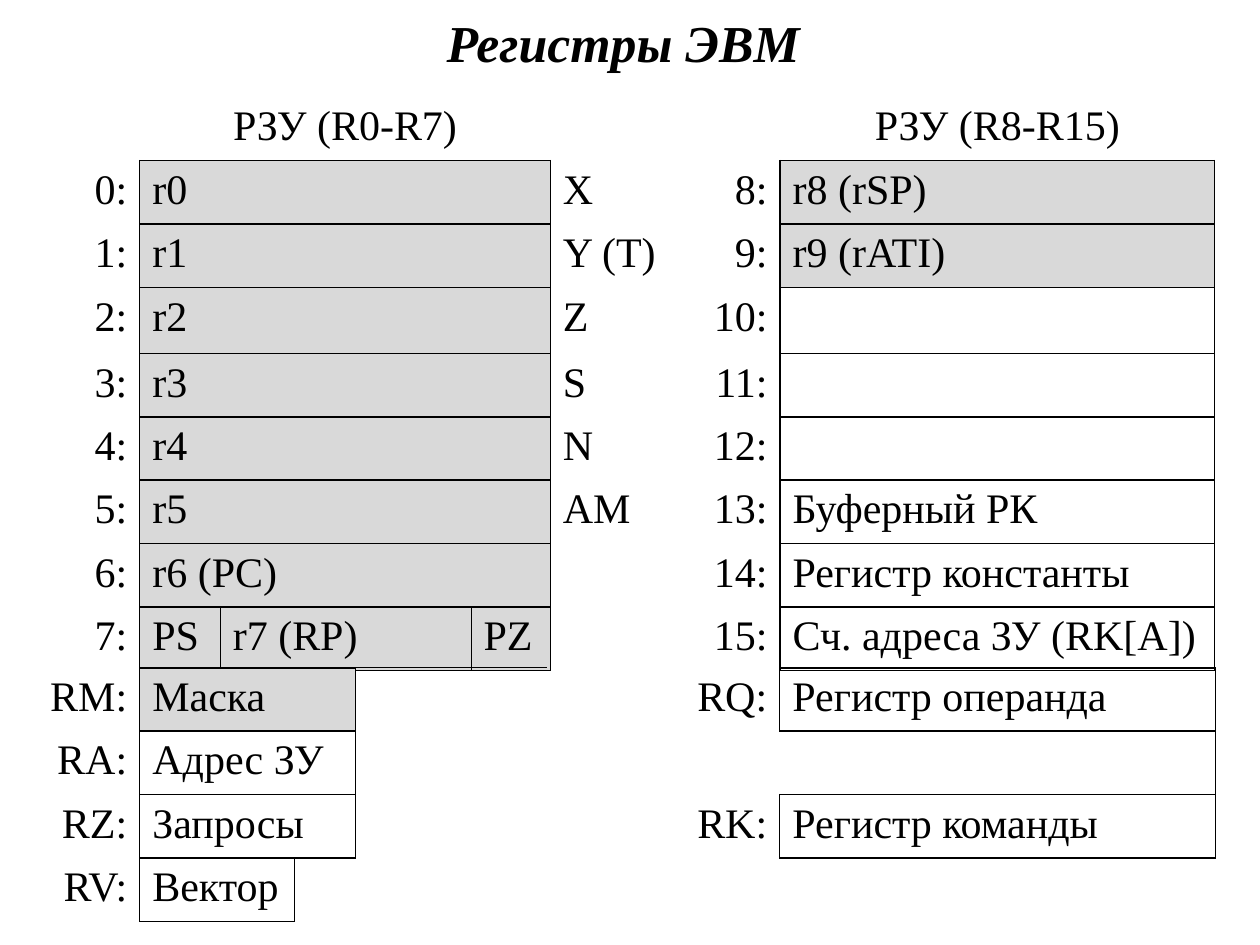
from lxml import etree
from pptx import Presentation
from pptx.dml.color import RGBColor
from pptx.enum import text
from pptx.oxml import ns
from pptx.util import Pt

LEFT, CENTER, RIGHT = text.PP_ALIGN.LEFT, text.PP_ALIGN.CENTER, text.PP_ALIGN.RIGHT
BLACK, GRAY = "000000", "D9D9D9"
BOX = {"L": 0.75, "R": 0.75, "T": 0.96, "B": 0.96}
LAST_BOX = {**BOX, "B": 0.34}
PLAIN_STYLE = "{2D5ABB26-0587-4C30-8999-92F81FD0307C}"


def color(value):
    """Turn a hex string into a colour."""
    return RGBColor.from_string(value)


class RegisterSlide:
    """Hold the text style and the slide, and add elements to it."""

    def __init__(self, slide, font="Times New Roman", size=24):
        """Remember the slide and its text style."""
        self.slide, self.font, self.size = slide, font, size

    def format(self, paragraph, align, size=None, emphasis=False):
        """Style a paragraph and its runs."""
        paragraph.alignment = align
        for run in paragraph.runs:
            run.font.name, run.font.size = self.font, Pt(size or self.size)
            run.font.bold = run.font.italic = emphasis
            run.font.color.rgb = color(BLACK)

    def title(self, wording, left, top, width, height, size):
        """Place the slide title."""
        heading = self.slide.shapes.title
        heading.left, heading.top = Pt(left), Pt(top)
        heading.width, heading.height = Pt(width), Pt(height)
        frame = heading.text_frame
        frame.text = wording
        frame.auto_size = text.MSO_AUTO_SIZE.NONE
        frame.vertical_anchor = text.MSO_ANCHOR.MIDDLE
        frame.paragraphs[0].line_spacing = 0.9
        self.format(frame.paragraphs[0], CENTER, size, True)

    def table(self, left, top, widths, heights):
        """Add a table without borders or fills."""
        frame = self.slide.shapes.add_table(
            len(heights), len(widths), Pt(left), Pt(top), Pt(sum(widths)), Pt(sum(heights)))
        grid = frame.table
        grid.first_row = grid.horz_banding = False
        grid._tbl.tblPr.find(ns.qn("a:tableStyleId")).text = PLAIN_STYLE
        for column, width in zip(grid.columns, widths):
            column.width = Pt(width)
        for row, height in zip(grid.rows, heights):
            row.height = Pt(height)
        for cell in grid.iter_cells():
            cell.fill.background()
        return grid

    def border(self, cell, edges):
        """Draw the given edges of a cell."""
        properties = cell._tc.get_or_add_tcPr()
        ordered = [edge for edge in "LRTB" if edge in edges]
        for place, edge in enumerate(ordered):
            line = etree.Element(ns.qn(f"a:ln{edge}"), w=str(Pt(edges[edge])))
            fill = etree.SubElement(line, ns.qn("a:solidFill"))
            etree.SubElement(fill, ns.qn("a:srgbClr"), val=BLACK)
            properties.insert(place, line)

    def cell(self, grid, row, column, wording="", align=LEFT, fill=None, edges=None, span=1):
        """Fill in one cell, merged over span columns."""
        cell = grid.cell(row, column)
        if span > 1:
            cell.merge(grid.cell(row, column + span - 1))
        for part in range(column, column + span):
            self.border(grid.cell(row, part), edges or {})
        if fill:
            cell.fill.solid()
            cell.fill.fore_color.rgb = color(fill)
        cell.text_frame.text = wording
        self.format(cell.text_frame.paragraphs[0], align)


def add_general_registers(page):
    """Add the table of registers 0 to 15."""
    grid = page.table(17.3, 55.5, [62.6, 46, 143.3, 45.3, 74.3, 57, 248.5],
                      [36.24] * 3 + [37.8] + [36.24] * 5)
    page.cell(grid, 0, 1, "РЗУ (R0-R7)", CENTER, span=3)
    page.cell(grid, 0, 6, "РЗУ (R8-R15)", CENTER)
    low = ["r0", "r1", "r2", "r3", "r4", "r5", "r6 (PC)"]
    roles = ["X", "Y (T)", "Z", "S", "N", "AM"]
    high = ["r8 (rSP)", "r9 (rATI)", "", "", "", "Буферный РК", "Регистр константы",
            "Сч. адреса ЗУ (RK[A])"]
    for number, register in enumerate(high):
        row = number + 1
        page.cell(grid, row, 0, f"{number}:", RIGHT)
        page.cell(grid, row, 5, f"{number + 8}:", RIGHT)
        page.cell(grid, row, 6, register, fill=GRAY if number < 2 else None,
                  edges=LAST_BOX if row == len(high) else BOX)
    for row, register in enumerate(low, 1):
        page.cell(grid, row, 1, register, fill=GRAY, edges=BOX, span=3)
    for row, role in enumerate(roles, 1):
        page.cell(grid, row, 4, role)
    for column, field, sides in [(1, "PS", {"R": 0.45}), (2, "r7 (RP)", {"L": 0.45, "R": 0.45}),
                                 (3, "PZ", {"L": 0.45})]:
        page.cell(grid, 8, column, field, fill=GRAY, edges={**LAST_BOX, **sides})


def add_special_registers(page):
    """Add the table of named registers."""
    grid = page.table(17.3, 381.6, [62.6, 88.6, 34.6, 109.4, 76.3, 56.9, 249.1], [36.24] * 4)
    left = [("RM:", "Маска", GRAY, 2), ("RA:", "Адрес ЗУ", None, 2),
            ("RZ:", "Запросы", None, 2), ("RV:", "Вектор", None, 1)]
    for row, (label, register, fill, span) in enumerate(left):
        page.cell(grid, row, 0, label, RIGHT)
        page.cell(grid, row, 1, register, fill=fill, edges=BOX, span=span)
    page.cell(grid, 0, 3, edges={"T": 0.75})
    for row, label, register in [(0, "RQ:", "Регистр операнда"), (2, "RK:", "Регистр команды")]:
        page.cell(grid, row, 5, label, RIGHT)
        page.cell(grid, row, 6, register, edges=BOX)
    page.cell(grid, 1, 6, edges={"R": 0.34})


def main():
    """Build the slide and save it."""
    deck = Presentation()
    deck.slide_width, deck.slide_height = Pt(720), Pt(540)
    page = RegisterSlide(deck.slides.add_slide(deck.slide_layouts[5]))
    page.title("Регистры ЭВМ ", 36, 3.6, 648, 45.4, 29.6)
    add_general_registers(page)
    add_special_registers(page)
    deck.save("out.pptx")


if __name__ == "__main__":
    main()
